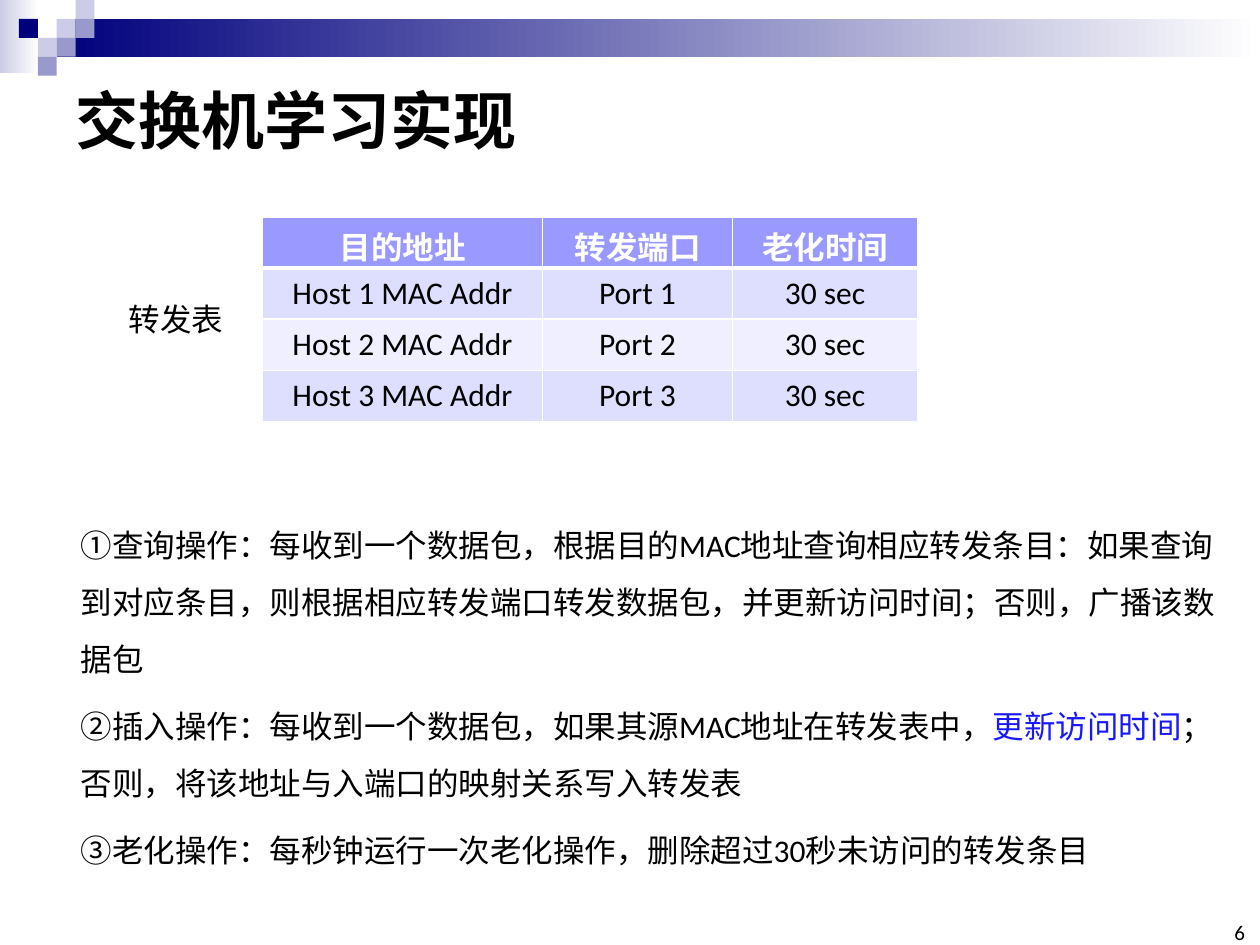
import pptx
import pptx.util
import pptx.dml.color
import pptx.enum.shapes
import pptx.enum.text
import pptx.oxml
from lxml import etree

Pt = pptx.util.Pt
Align = pptx.enum.text.PP_ALIGN
Anchor = pptx.enum.text.MSO_ANCHOR
AutoSize = pptx.enum.text.MSO_AUTO_SIZE

FONT = "Calibri"
BLACK, WHITE, BLUE = "000000", "FFFFFF", "1818FF"
NAVY, LILAC, VIOLET = "00007D", "CCCCE6", "9999CC"
HEADER_FILL, BAND_FILLS = "9999FF", ("DEDEFF", "EFEFFF")

TITLE = "交换机学习实现"
TABLE_LABEL = "转发表"
PAGE_NUMBER = "6"
FORWARDING = [("目的地址", "转发端口", "老化时间")] + [
    (f"Host {n} MAC Addr", f"Port {n}", "30 sec") for n in (1, 2, 3)
]
COLUMN_WIDTHS = (160, 108.6, 105.8)
ROW_HEIGHT = 29.2
OPERATIONS = [
    [("①查询操作：每收到一个数据包，根据目的MAC地址查询相应转发条目：如果查询到对应条目，"
      "则根据相应转发端口转发数据包，并更新访问时间；否则，广播该数据包", BLACK)],
    [("②插入操作：每收到一个数据包，如果其源MAC地址在转发表中，", BLACK),
     ("更新访问时间", BLUE),
     ("；否则，将该地址与入端口的映射关系写入转发表", BLACK)],
    [("③老化操作：每秒钟运行一次老化操作，删除超过30秒未访问的转发条目", BLACK)],
]
BANDS = [((0, 0, 22.3, 41.8), LILAC), ((32.4, 10.8, 687.6, 21.6), NAVY)]
SQUARE = 10.8
# column, row, colour on the corner grid
SQUARES = [(3, 1, LILAC), (4, 0, LILAC), (4, 1, VIOLET), (2, 2, LILAC),
           (1, 1, NAVY), (3, 2, VIOLET), (2, 3, VIOLET)]


def rgb(colour):
    """Turn a hex string into a colour."""
    return pptx.dml.color.RGBColor.from_string(colour)


def points(box):
    """Turn left, top, width and height into lengths."""
    return [Pt(length) for length in box]


def add_run(paragraph, text, size=18, colour=BLACK, bold=False):
    """Add one formatted run."""
    run = paragraph.add_run()
    run.text = text
    run.font.name, run.font.size, run.font.bold = FONT, Pt(size), bold
    run.font.color.rgb = rgb(colour)


def add_rectangle(box, colour, fades=False):
    """Add a plain rectangle, optionally fading to white on the right."""
    rectangle = slide.shapes.add_shape(
        pptx.enum.shapes.MSO_SHAPE.RECTANGLE, *points(box))
    rectangle.shadow.inherit = False
    rectangle.line.fill.background()
    if fades:
        rectangle.fill.gradient()
        rectangle.fill.gradient_angle = 0
        for stop, stop_colour in zip(rectangle.fill.gradient_stops, (colour, WHITE)):
            stop.color.rgb = rgb(stop_colour)
    else:
        rectangle.fill.solid()
        rectangle.fill.fore_color.rgb = rgb(colour)


def add_text_frame(box, wrap):
    """Add a text box and return its frame."""
    frame = slide.shapes.add_textbox(*points(box)).text_frame
    frame.word_wrap = wrap
    return frame


def add_borders(cell, top, bottom):
    """Draw white cell borders with the given top and bottom widths."""
    properties = cell._tc.get_or_add_tcPr()
    for side, width in (("L", 1), ("R", 1), ("T", top), ("B", bottom)):
        line = etree.SubElement(properties, pptx.oxml.ns.qn(f"a:ln{side}"), w=str(Pt(width)))
        fill = etree.SubElement(line, pptx.oxml.ns.qn("a:solidFill"))
        etree.SubElement(fill, pptx.oxml.ns.qn("a:srgbClr"), val=WHITE)


def add_forwarding_table(left, top):
    """Add the forwarding table."""
    table = slide.shapes.add_table(
        len(FORWARDING), len(COLUMN_WIDTHS),
        *points((left, top, sum(COLUMN_WIDTHS), ROW_HEIGHT * len(FORWARDING)))).table
    for column, width in zip(table.columns, COLUMN_WIDTHS):
        column.width = Pt(width)
    for r, entry in enumerate(FORWARDING):
        header = r == 0
        for c, text in enumerate(entry):
            cell = table.cell(r, c)
            add_borders(cell, 3 if r == 1 else 1, 3 if header else 1)
            cell.fill.solid()
            cell.fill.fore_color.rgb = rgb(HEADER_FILL if header else BAND_FILLS[(r - 1) % 2])
            paragraph = cell.text_frame.paragraphs[0]
            paragraph.alignment = Align.CENTER
            add_run(paragraph, text, colour=WHITE if header else BLACK, bold=header)


presentation = pptx.Presentation()
presentation.slide_width, presentation.slide_height = Pt(720), Pt(540)
slide = presentation.slides.add_slide(presentation.slide_layouts[5])

for box, colour in BANDS:
    add_rectangle(box, colour, fades=True)
for column, row, colour in SQUARES:
    add_rectangle((column * SQUARE, row * SQUARE, SQUARE, SQUARE), colour)

title = slide.shapes.title
title.left, title.top, title.width, title.height = points((36, 36, 648, 64))
title.text_frame.auto_size = AutoSize.NONE
title.text_frame.vertical_anchor = Anchor.MIDDLE
title.text_frame.paragraphs[0].alignment = Align.LEFT
add_run(title.text_frame.paragraphs[0], TITLE, size=36, bold=True)

page = add_text_frame((694.8, 527.8, 16.6, 12.2), wrap=True)
page.margin_left = page.margin_right = page.margin_top = page.margin_bottom = 0
page.vertical_anchor = Anchor.BOTTOM
page.paragraphs[0].alignment = Align.RIGHT
add_run(page.paragraphs[0], PAGE_NUMBER, size=12)

add_forwarding_table(150, 124)

label = add_text_frame((66.5, 168, 69, 29), wrap=False)
label.auto_size = AutoSize.SHAPE_TO_FIT_TEXT
add_run(label.paragraphs[0], TABLE_LABEL)

operations = add_text_frame((39, 286.5, 664.5, 211.5), wrap=True)
operations.auto_size = AutoSize.SHAPE_TO_FIT_TEXT
for index, operation in enumerate(OPERATIONS):
    paragraph = operations.add_paragraph() if index else operations.paragraphs[0]
    paragraph.line_spacing, paragraph.space_before = 1.5, Pt(6)
    for text, colour in operation:
        add_run(paragraph, text, colour=colour)

presentation.save("out.pptx")
